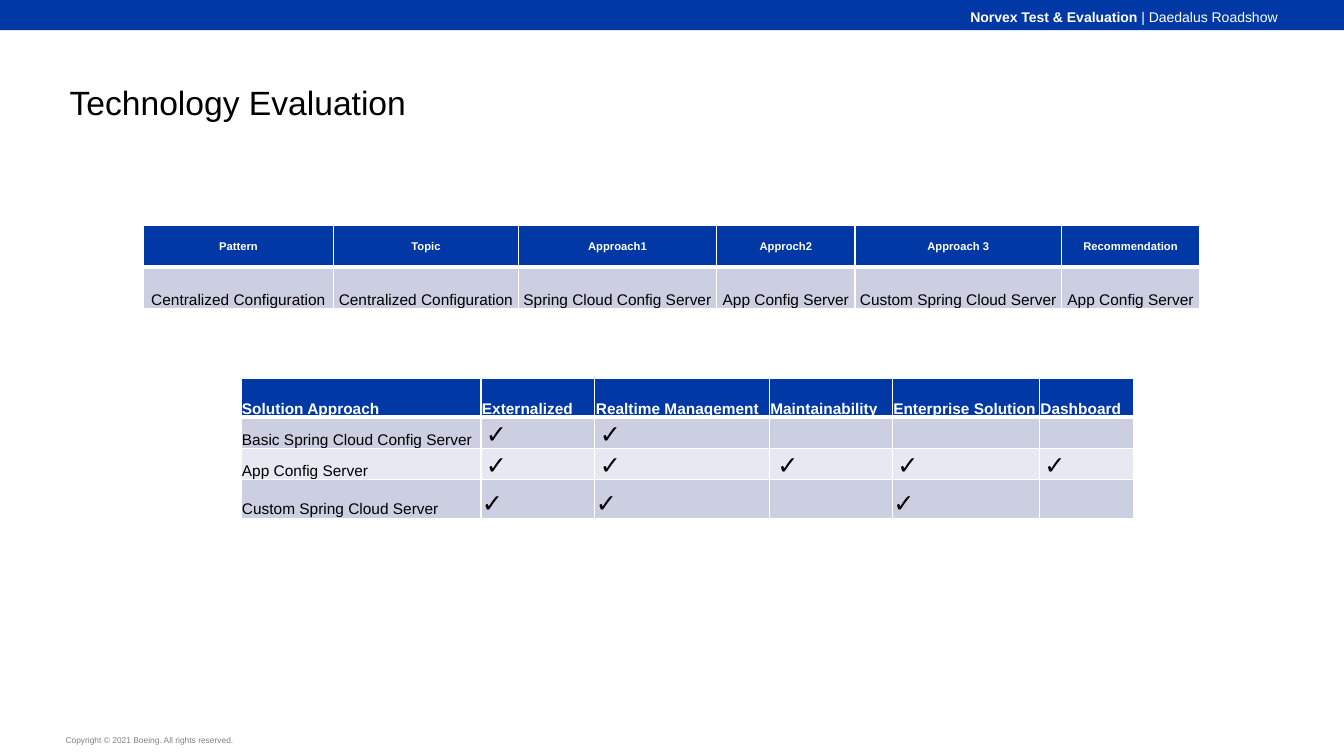
from dataclasses import dataclass

import lxml.etree
import pptx
import pptx.dml.color
import pptx.enum.shapes
import pptx.enum.text
import pptx.oxml.ns
import pptx.util

Inches = pptx.util.Inches
Pt = pptx.util.Pt
RGBColor = pptx.dml.color.RGBColor
Align = pptx.enum.text.PP_ALIGN
Anchor = pptx.enum.text.MSO_ANCHOR

BLUE = RGBColor(0x00, 0x39, 0xA6)
WHITE = RGBColor(0xFF, 0xFF, 0xFF)
BLACK = RGBColor(0x00, 0x00, 0x00)
GRAY = RGBColor(0x80, 0x80, 0x80)
LAVENDER = RGBColor(0xCC, 0xCE, 0xE1)
PALE_LAVENDER = RGBColor(0xE7, 0xE8, 0xF1)
FONT = "Arial"
CHECK_SIZE = 18
CELL_INSET = 0.01


@dataclass(frozen=True)
class Entry:
    text: str
    size: float = 11
    indent: float = CELL_INSET


@dataclass(frozen=True)
class Row:
    entries: list[Entry]
    height: float
    fill: RGBColor
    header: bool = False
    anchor: Anchor = Anchor.BOTTOM


@dataclass(frozen=True)
class Grid:
    left: float
    top: float
    widths: list[float]
    rows: list[Row]
    align: Align


def entries(*texts: str, size: float = 11) -> list[Entry]:
    return [Entry(text, size) for text in texts]


NONE = Entry("")
CHECK = Entry("✓", CHECK_SIZE)
INDENTED_CHECK = Entry("✓", CHECK_SIZE, 0.05)
WIDE_CHECK = Entry("✓", CHECK_SIZE, 0.08)

RECOMMENDATIONS = Grid(
    1.42, 2.24, [1.89, 1.83, 1.97, 1.37, 2.05, 1.37],
    [
        Row(entries("Pattern", "Topic", "Approach1", "Approch2", "Approach 3",
                    "Recommendation", size=8),
            0.41, BLUE, header=True, anchor=Anchor.MIDDLE),
        Row(entries("Centralized Configuration", "Centralized Configuration",
                    "Spring Cloud Config Server", "App Config Server",
                    "Custom Spring Cloud Server", "App Config Server"),
            0.41, LAVENDER),
    ],
    Align.CENTER,
)

COMPARISON = Grid(
    2.39, 3.75, [2.38, 1.13, 1.73, 1.22, 1.46, 0.93],
    [
        Row(entries("Solution Approach", "Externalized", "Realtime Management",
                    "Maintainability", "Enterprise Solution", "Dashboard"),
            0.39, BLUE, header=True),
        Row([Entry("Basic Spring Cloud Config Server"), INDENTED_CHECK,
             INDENTED_CHECK, NONE, NONE, NONE], 0.3, LAVENDER),
        Row([Entry("App Config Server"), INDENTED_CHECK, INDENTED_CHECK,
             WIDE_CHECK, INDENTED_CHECK, INDENTED_CHECK], 0.3, PALE_LAVENDER),
        Row([Entry("Custom Spring Cloud Server"), CHECK, CHECK, NONE, CHECK,
             NONE], 0.38, LAVENDER),
    ],
    Align.LEFT,
)


def add_run(paragraph, text: str, size: float, color: RGBColor,
            bold: bool = False) -> None:
    run = paragraph.add_run()
    run.text = text
    run.font.name = FONT
    run.font.size = Pt(size)
    run.font.bold = bold
    run.font.color.rgb = color


def add_borders(cell, bottom_width: float) -> None:
    """Draw white cell borders; call before the cell is filled."""
    qn = pptx.oxml.ns.qn
    properties = cell._tc.get_or_add_tcPr()
    for side, width in (("L", 1), ("R", 1), ("T", 1), ("B", bottom_width)):
        line = lxml.etree.SubElement(properties, qn(f"a:ln{side}"), w=str(Pt(width)))
        fill = lxml.etree.SubElement(line, qn("a:solidFill"))
        lxml.etree.SubElement(fill, qn("a:srgbClr"), val=str(WHITE))


def fill_cell(cell, entry: Entry, row: Row, align: Align) -> None:
    add_borders(cell, 3 if row.header else 1)
    cell.fill.solid()
    cell.fill.fore_color.rgb = row.fill
    cell.margin_left = Inches(entry.indent)
    cell.margin_right = cell.margin_top = Inches(CELL_INSET)
    cell.margin_bottom = 0
    cell.vertical_anchor = row.anchor
    paragraph = cell.text_frame.paragraphs[0]
    paragraph.alignment = align
    if entry.text:
        add_run(paragraph, entry.text, entry.size,
                WHITE if row.header else BLACK, row.header)
    else:
        paragraph.font.size = Pt(entry.size)


def add_grid(slide, grid: Grid) -> None:
    table = slide.shapes.add_table(
        len(grid.rows), len(grid.widths), Inches(grid.left), Inches(grid.top),
        Inches(sum(grid.widths)), Inches(sum(row.height for row in grid.rows)),
    ).table
    table.horz_banding = False
    for column, width in zip(table.columns, grid.widths):
        column.width = Inches(width)
    for row_index, row in enumerate(grid.rows):
        table.rows[row_index].height = Inches(row.height)
        for column_index, entry in enumerate(row.entries):
            fill_cell(table.cell(row_index, column_index), entry, row, grid.align)


def add_text_area(slide, left: float, top: float, width: float, height: float,
                  inset: float, anchor: Anchor):
    """Add a wrapping text box and return its first paragraph."""
    frame = slide.shapes.add_textbox(
        Inches(left), Inches(top), Inches(width), Inches(height)).text_frame
    frame.word_wrap = True
    frame.vertical_anchor = anchor
    frame.margin_left = frame.margin_right = Inches(inset)
    frame.margin_top = frame.margin_bottom = Inches(inset)
    return frame.paragraphs[0]


def add_header_and_footer(slide) -> None:
    banner = slide.shapes.add_shape(
        pptx.enum.shapes.MSO_SHAPE.RECTANGLE,
        0, Inches(-0.01), Inches(13.33), Inches(0.31))
    banner.shadow.inherit = False
    banner.fill.solid()
    banner.fill.fore_color.rgb = BLUE
    banner.line.fill.background()

    copyright_line = add_text_area(slide, 0.64, 7.28, 3.01, 0.12, 0.01, Anchor.BOTTOM)
    add_run(copyright_line, "Copyright © 2021 Boeing. All rights reserved.", 6, GRAY)

    department = add_text_area(slide, 5.35, 0.08, 7.32, 0.17, 0, Anchor.TOP)
    department.alignment = Align.RIGHT
    add_run(department, "Norvex Test & Evaluation ", 10, WHITE, bold=True)
    add_run(department, "| Daedalus Roadshow", 10, WHITE)


def add_title(slide) -> None:
    title = slide.shapes.title
    title.left, title.top = Inches(0.59), Inches(0.76)
    title.width, title.height = Inches(3.57), Inches(0.5)
    frame = title.text_frame
    frame.word_wrap = False
    frame.auto_size = pptx.enum.text.MSO_AUTO_SIZE.NONE
    frame.vertical_anchor = Anchor.TOP
    frame.paragraphs[0].alignment = Align.LEFT
    add_run(frame.paragraphs[0], "Technology Evaluation", 24, BLACK)


def main() -> None:
    presentation = pptx.Presentation()
    presentation.slide_width = Inches(13.33)
    presentation.slide_height = Inches(7.5)
    slide = presentation.slides.add_slide(presentation.slide_layouts[5])
    add_header_and_footer(slide)
    add_title(slide)
    for grid in (RECOMMENDATIONS, COMPARISON):
        add_grid(slide, grid)
    presentation.save("out.pptx")


if __name__ == "__main__":
    main()
